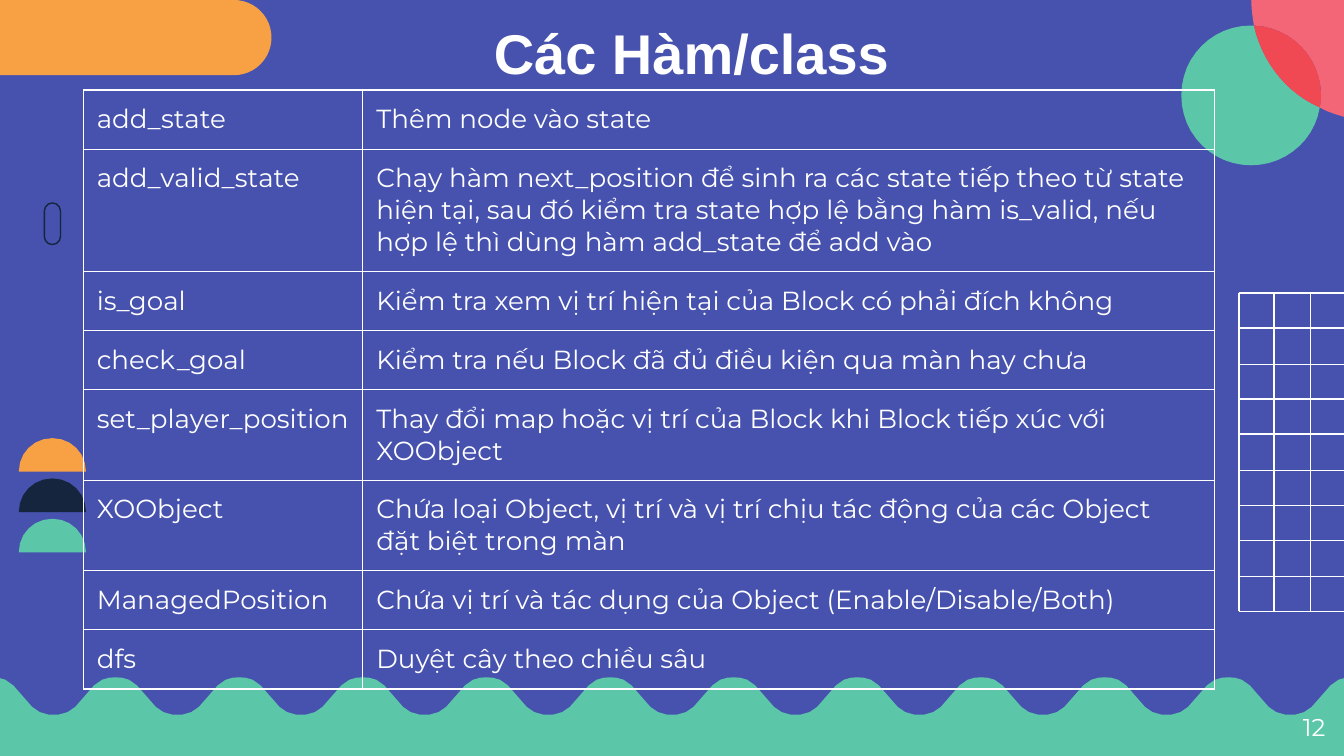
import math

import pptx
import pptx.util
import pptx.dml.color
import pptx.enum.shapes
import pptx.enum.text
import pptx.oxml
import pptx.oxml.ns

PX = 9144  # EMU per px, 100 px to the inch
COLORS = {
    "blue": "4652AD", "white": "FFFFFF", "green": "5CC7A8", "navy": "15253D",
    "pink": "F36678", "red": "F14954", "orange": "F8A144",
}
RGB = {name: pptx.dml.color.RGBColor.from_string(code) for name, code in COLORS.items()}
SHAPES = pptx.enum.shapes.MSO_SHAPE

deck = pptx.Presentation()
deck.slide_width, deck.slide_height = 1000 * PX, 5143500
page = deck.slides.add_slide(deck.slide_layouts[5])
page.background.fill.solid()
page.background.fill.fore_color.rgb = RGB["blue"]


def add_outline(start, steps, color):
    """Filled shape; a step is a point (x, y) or a cubic curve (x1, y1, x2, y2, x, y)."""
    points = [start]
    for step in steps:
        if len(step) == 2:
            points.append(step)
            continue
        x0, y0 = points[-1]
        x1, y1, x2, y2, x3, y3 = step
        count = max(2, round(math.hypot(x3 - x0, y3 - y0) / 6))
        for i in range(1, count + 1):
            t = i / count
            a, b, c, d = (1 - t) ** 3, 3 * t * (1 - t) ** 2, 3 * t * t * (1 - t), t ** 3
            points.append((a * x0 + b * x1 + c * x2 + d * x3,
                           a * y0 + b * y1 + c * y2 + d * y3))
    points = [(x * PX, y * PX) for x, y in points]
    builder = page.shapes.build_freeform(*points[0], scale=1.0)
    builder.add_line_segments(points[1:], close=True)
    shape = builder.convert_to_shape()
    shape.shadow.inherit = False
    shape.fill.solid()
    shape.fill.fore_color.rgb = RGB[color]
    shape.line.fill.background()


def format_text(frame, font, size, bold=False, align=None):
    frame.word_wrap = True
    para = frame.paragraphs[0]
    para.alignment = align
    for span in para.runs:
        span.font.name = font
        span.font.size = pptx.util.Pt(size)
        span.font.bold = bold
        span.font.color.rgb = RGB["white"]


# Grid at the right edge
grid_lines = [(x, 218, x, 455) for x in (922, 948, 975)]
grid_lines += [(922, y, 1026, y) for y in (218 + round(237 * i / 9) for i in range(10))]
for ends in grid_lines:
    line = page.shapes.add_connector(
        pptx.enum.shapes.MSO_CONNECTOR.STRAIGHT, *(end * PX for end in ends))
    line.line.color.rgb = RGB["white"]
    line.line.width = pptx.util.Pt(0.75)
    line._element.spPr.append(pptx.oxml.parse_xml(
        f"<a:effectLst {pptx.oxml.ns.nsdecls('a')}/>"))

# Wave along the bottom: crests 92 px apart with a trough after each
wave = []
for crest in range(-6, 1007, 92):
    wave += [
        (crest - 16, 510),
        (crest - 10, 504, crest - 4, 504, crest, 504),
        (crest + 4, 504, crest + 10, 504, crest + 16, 510),
    ]
    if crest < 1006:
        wave += [
            (crest + 30, 526),
            (crest + 38, 534, crest + 54, 534, crest + 62, 526),
        ]
wave += [(1052, 550), (1052, 609)]
add_outline((-52, 609), [(-52, 550)] + wave, "green")

# Small pill on the left
pill = page.shapes.add_shape(SHAPES.ROUNDED_RECTANGLE, 33 * PX, 151 * PX, 12 * PX, 31 * PX)
pill.adjustments[0] = 0.5
pill.shadow.inherit = False
pill.fill.background()
pill.line.color.rgb = RGB["navy"]
pill.line.width = pptx.util.Pt(0.75)

# Overlapping circles in the top right corner
add_outline((1014, -1), [
    (1004, 10), (1004, 88), (997, 86, 989, 84, 982, 80),
    (983, 77, 983, 74, 983, 71), (983, 43, 961, 20, 933, 19),
    (932, 12, 931, 6, 931, -1)], "pink")
add_outline((931, 19), [
    (933, 19), (939, 46, 957, 69, 982, 80),
    (978, 105, 956, 123, 931, 123), (902, 123, 879, 100, 879, 71),
    (879, 42, 902, 19, 931, 19)], "green")
add_outline((933, 19), [
    (961, 20, 983, 43, 983, 71), (983, 74, 983, 77, 982, 80),
    (957, 69, 939, 46, 933, 19)], "red")

# Stack of half discs
for base, color in ((351, "orange"), (381, "navy"), (411, "green")):
    add_outline((14, base), [
        (14, base - 14, 25, base - 25, 39, base - 25),
        (53, base - 25, 64, base - 14, 64, base)], color)

# Orange tab in the top left corner
tab = page.shapes.add_shape(
    SHAPES.ROUND_2_SAME_RECTANGLE, 73 * PX, -73 * PX, 56 * PX, 202 * PX)
tab.rotation = 90
tab.adjustments[0], tab.adjustments[1] = 0.5, 0
tab.shadow.inherit = False
tab.fill.solid()
tab.fill.fore_color.rgb = RGB["orange"]
tab.line.fill.background()

# Title
title = page.shapes.title
title.left, title.top, title.width, title.height = 93 * PX, 0, 843 * PX, 63 * PX
frame = title.text_frame
frame.text = "Các Hàm/class"
frame.auto_size = pptx.enum.text.MSO_AUTO_SIZE.NONE
frame.vertical_anchor = pptx.enum.text.MSO_ANCHOR.TOP
frame.margin_top, frame.margin_bottom = 14 * PX, 0
format_text(frame, "Arial", 30, True, pptx.enum.text.PP_ALIGN.CENTER)

# Table of functions; each description spans two columns
rows = [
    ("add_state", "Thêm node vào state", 44),
    ("add_valid_state", "Chạy hàm next_position để sinh ra các state tiếp theo từ state "
     "hiện tại, sau đó kiểm tra state hợp lệ bằng hàm is_valid, nếu hợp lệ thì dùng hàm "
     "add_state để add vào", 91),
    ("is_goal", "Kiểm tra xem vị trí hiện tại của Block có phải đích không", 44),
    ("check_goal", "Kiểm tra nếu Block đã đủ điều kiện qua màn hay chưa", 44),
    ("set_player_position",
     "Thay đổi map hoặc vị trí của Block khi Block tiếp xúc với XOObject", 67),
    ("XOObject", "Chứa loại Object, vị trí và vị trí chịu tác động của các Object "
     "đặt biệt trong màn", 67),
    ("ManagedPosition", "Chứa vị trí và tác dụng của Object (Enable/Disable/Both)", 44),
    ("dfs", "Duyệt cây theo chiều sâu", 44),
]
widths = (208, 337, 297)
table = page.shapes.add_table(
    len(rows), len(widths), 62 * PX, 67 * PX,
    sum(widths) * PX, sum(row[2] for row in rows) * PX).table
table.first_row = table.horz_banding = False
for column, width in zip(table.columns, widths):
    column.width = width * PX
for r, (name, description, height) in enumerate(rows):
    table.rows[r].height = height * PX
    table.cell(r, 1).merge(table.cell(r, 2))
    table.cell(r, 0).text_frame.text = name
    table.cell(r, 1).text_frame.text = description
for cell in table.iter_cells():
    cell.margin_left = cell.margin_right = cell.margin_top = cell.margin_bottom = 10 * PX
    for side in "LRTB":
        cell._tc.get_or_add_tcPr().append(pptx.oxml.parse_xml(
            f'<a:ln{side} {pptx.oxml.ns.nsdecls("a")} w="9525"><a:solidFill>'
            f'<a:srgbClr val="{COLORS["white"]}"/></a:solidFill></a:ln{side}>'))
    cell.fill.background()
    format_text(cell.text_frame, "Montserrat", 14)

# Page number
box = page.shapes.add_textbox(936 * PX, 519 * PX, 60 * PX, 43 * PX)
box.text_frame.text = "12"
box.text_frame.vertical_anchor = pptx.enum.text.MSO_ANCHOR.MIDDLE
format_text(box.text_frame, "Montserrat", 13, align=pptx.enum.text.PP_ALIGN.RIGHT)

deck.save("out.pptx")
